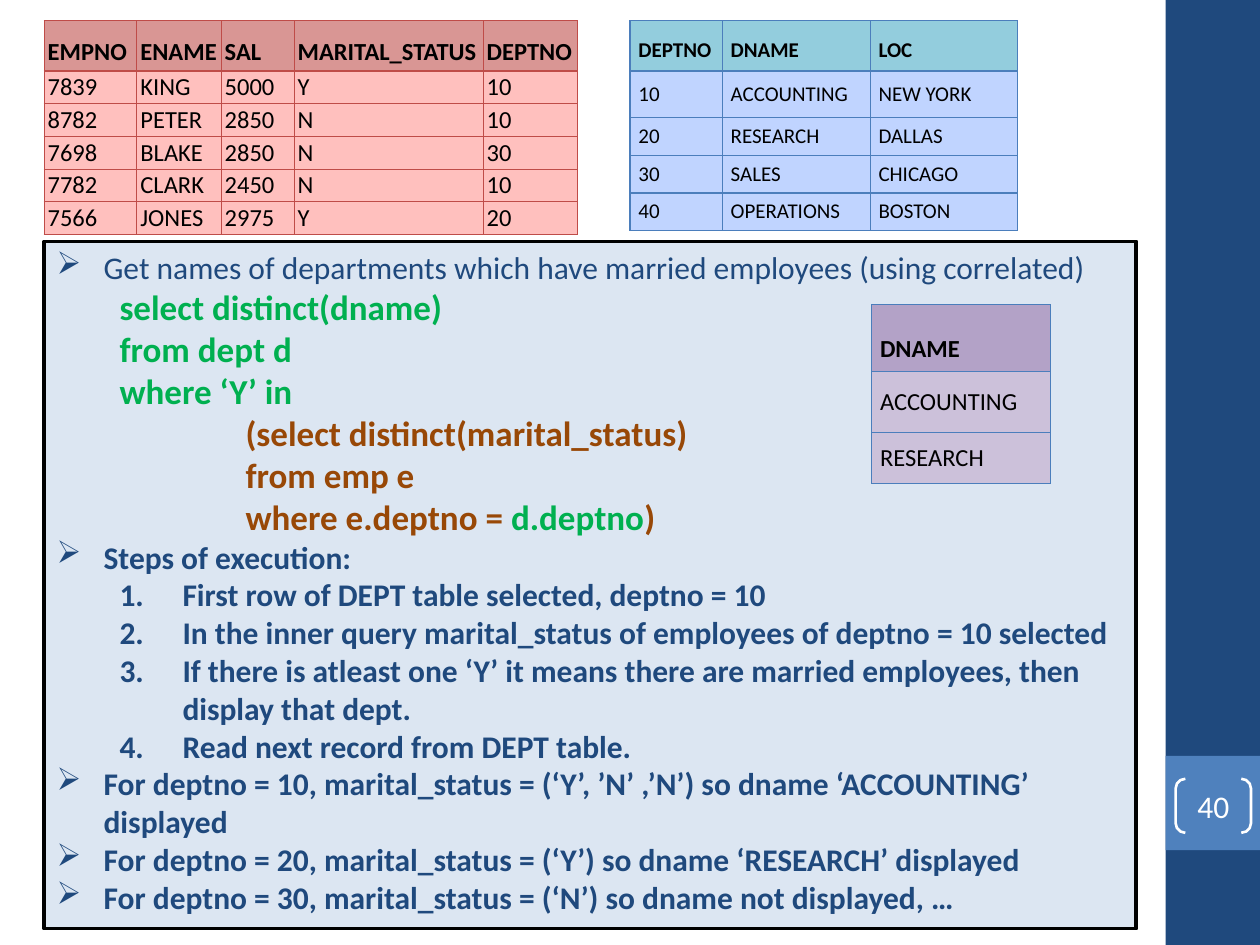
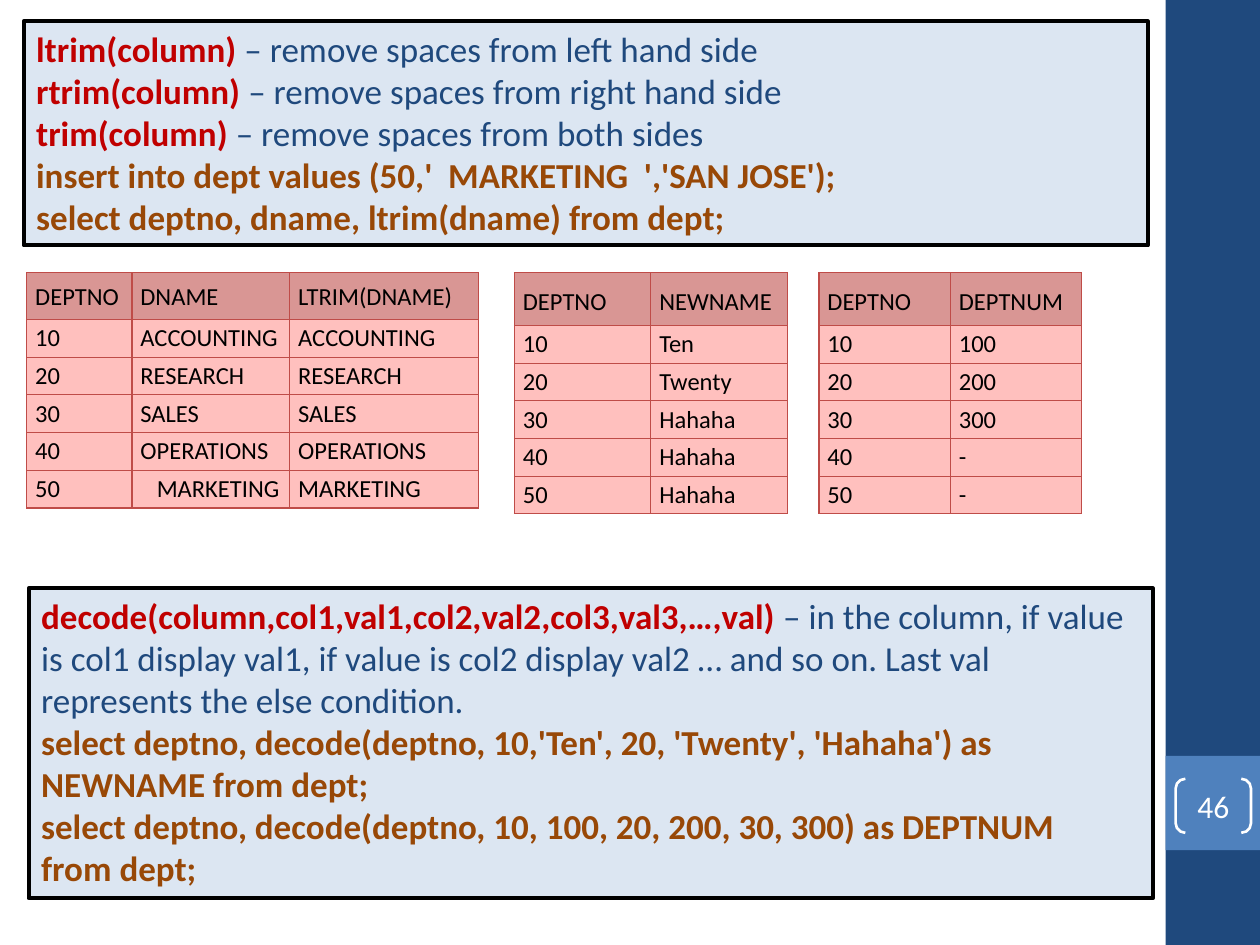
from lxml.etree import SubElement
from pptx import Presentation
from pptx.dml.color import RGBColor
from pptx.enum.shapes import MSO_SHAPE
from pptx.enum.text import MSO_ANCHOR, MSO_AUTO_SIZE, PP_ALIGN
from pptx.oxml.ns import qn
from pptx.util import Cm, Pt

FONT = "Calibri"
NAVY, BLUE, PALE, WHITE, BLACK = "1F497D", "4F81BD", "DCE6F2", "FFFFFF", "000000"
GREEN, BROWN, RED = "00B050", "984807", "C00000"
SPACE_WIDTH = 0.11  # one leading space in a table cell, cm

# Paragraph kinds: left margin and first-line indent in cm, level, bullet
KINDS = {
    "plain": dict(margin=0, indent=0, level=0, bullet=None),
    "arrow": dict(margin=0.95, indent=-0.95, level=0, bullet=("buChar", {"char": "➢"})),
    "query": dict(margin=1.27, indent=0, level=1, bullet=None),
    "subquery": dict(margin=3.81, indent=0, level=1, bullet=None),
    "step": dict(margin=2.54, indent=-1.27, level=1,
                 bullet=("buAutoNum", {"type": "arabicPeriod"})),
}

# Run styles
STYLES = {
    "text": dict(size=18, color=NAVY, bold=False),
    "strong": dict(size=18, color=NAVY, bold=True),
    "outer": dict(size=20, color=GREEN, bold=True),
    "inner": dict(size=20, color=BROWN, bold=True),
    "function": dict(size=20, color=RED, bold=True),
    "meaning": dict(size=20, color=NAVY, bold=False),
    "number": dict(size=18, color=WHITE, bold=False),
}

# Table looks; insets are horizontal, vertical in cm
ROSE = dict(head="D99694", body="FFC0BE", border="BF4C48", size=14, bold_head=False,
            head_inset=(0.17, 0.16), body_inset=(0.17, 0.07))
LOOKS = {
    "result": ROSE,
    "employees": ROSE | dict(bold_head=True, head_inset=(0.07, 0.07), body_inset=(0.07, 0.02)),
    "departments": ROSE | dict(head="93CDDD", body="C0D4FF", border="4B7EBC", size=12,
                               bold_head=True),
    "answer": ROSE | dict(head="B3A2C7", body="CCC1DA", border="4B7EBC", bold_head=True),
}

# Content: boxes are (place, paragraphs), a paragraph is (kind, runs)
SLIDES = [
    dict(
        number="40",
        boxes=[
            ((0.89, 4.87, 22.02, 13.85), [
                ("arrow", [("text", "Get names of departments which have married employees "
                                    "(using correlated)")]),
                ("query", [("outer", "select distinct(dname)")]),
                ("query", [("outer", "from dept d")]),
                ("query", [("outer", "where ‘Y’ in")]),
                ("subquery", [("inner", "(select distinct(marital_status)")]),
                ("subquery", [("inner", "from emp e")]),
                ("subquery", [("inner", "where e.deptno = "), ("outer", "d.deptno"),
                              ("inner", ")")]),
                ("arrow", [("strong", "Steps of execution:")]),
                ("step", [("strong", "First row of DEPT table selected, deptno = 10")]),
                ("step", [("strong", "In the inner query marital_status of employees of "
                                     "deptno = 10 selected")]),
                ("step", [("strong", "If there is atleast one ‘Y’ it means there are married "
                                     "employees, then display that dept.")]),
                ("step", [("strong", "Read next record from DEPT table.")]),
                ("arrow", [("strong", "For deptno = 10, marital_status = (‘Y’, ’N’ ,’N’) so "
                                      "dname ‘ACCOUNTING’ displayed")]),
                ("arrow", [("strong", "For deptno = 20, marital_status = (‘Y’) so dname "
                                      "‘RESEARCH’ displayed")]),
                ("arrow", [("strong", "For deptno = 30, marital_status = (‘N’) so dname not "
                                      "displayed, …")]),
            ]),
        ],
        tables=[
            dict(look="employees", at=(0.89, 0.42), columns=[1.87, 1.7, 1.47, 3.81, 1.91],
                 heights=[1.01] + [0.66] * 5, rows=[
                     ("EMPNO", "ENAME", "SAL", "MARITAL_STATUS", "DEPTNO"),
                     ("7839", "KING", "5000", "Y", "10"),
                     ("8782", "PETER", "2850", "N", "10"),
                     ("7698", "BLAKE", "2850", "N", "30"),
                     ("7782", "CLARK", "2450", "N", "10"),
                     ("7566", "JONES", "2975", "Y", "20")]),
            dict(look="departments", at=(12.7, 0.42), columns=[1.86, 2.98, 2.98],
                 heights=[1.01, 0.94] + [0.76] * 3, rows=[
                     ("DEPTNO", "DNAME", "LOC"),
                     ("10", "ACCOUNTING", "NEW YORK"),
                     ("20", "RESEARCH", "DALLAS"),
                     ("30", "SALES", "CHICAGO"),
                     ("40", "OPERATIONS", "BOSTON")]),
            dict(look="answer", at=(17.57, 6.14), columns=[3.6], heights=[1.35, 1.23, 1.02],
                 rows=[("DNAME",), ("ACCOUNTING",), ("RESEARCH",)]),
        ],
    ),
    dict(
        number="46",
        boxes=[
            ((0.48, 0.43, 22.66, 4.52), [
                ("plain", [("function", "ltrim(column) "),
                           ("meaning", "– remove spaces from left hand side")]),
                ("plain", [("function", "rtrim(column) "),
                           ("meaning", "– remove spaces from right hand side")]),
                ("plain", [("function", "trim(column) "),
                           ("meaning", "– remove spaces from both sides")]),
                ("plain", [("inner", "insert into dept values (50,'  MARKETING  ','SAN JOSE');")]),
                ("plain", [("inner", "select deptno, dname, ltrim(dname) from dept;")]),
            ]),
            ((0.58, 11.86, 22.66, 6.25), [
                ("plain", [("function", "decode(column,col1,val1,col2,val2,col3,val3,…,val) "),
                           ("meaning", "– in the column, if value is col1 display val1, if value "
                                       "is col2 display val2 … and so on. Last val represents "
                                       "the else condition.")]),
                ("plain", [("inner", "select deptno, decode(deptno, 10,'Ten', 20, 'Twenty', "
                                     "'Hahaha') as NEWNAME from dept;")]),
                ("plain", [("inner", "select deptno, decode(deptno, 10, 100, 20, 200, 30, 300) "
                                     "as DEPTNUM")]),
                ("plain", [("inner", "from dept;")]),
            ]),
        ],
        tables=[
            dict(look="result", at=(0.54, 5.5), columns=[2.12, 3.18, 3.81],
                 heights=[0.94] + [0.76] * 5, rows=[
                     ("DEPTNO", "DNAME", "LTRIM(DNAME)"),
                     ("10", "ACCOUNTING", "ACCOUNTING"),
                     ("20", "RESEARCH", "RESEARCH"),
                     ("30", "SALES", "SALES"),
                     ("40", "OPERATIONS", "OPERATIONS"),
                     ("50", "   MARKETING", "MARKETING")]),
            dict(look="result", at=(10.37, 5.5), columns=[2.75] * 2,
                 heights=[1.06] + [0.76] * 5, rows=[
                     ("DEPTNO", "NEWNAME"), ("10", "Ten"), ("20", "Twenty"),
                     ("30", "Hahaha"), ("40", "Hahaha"), ("50", "Hahaha")]),
            dict(look="result", at=(16.51, 5.5), columns=[2.65] * 2,
                 heights=[1.06] + [0.76] * 5, rows=[
                     ("DEPTNO", "DEPTNUM"), ("10", "100"), ("20", "200"),
                     ("30", "300"), ("40", "-"), ("50", "-")]),
        ],
    ),
]


def rgb(color):
    return RGBColor.from_string(color)


def set_attributes(target, values):
    for name, value in values.items():
        setattr(target, name, value)


def add_run(paragraph, text, size, color, bold):
    run = paragraph.add_run()
    run.text = text
    set_attributes(run.font, dict(name=FONT, size=Pt(size), bold=bold))
    run.font.color.rgb = rgb(color)


def add_block(slide, preset, place, fill=None, line=None, width=0):
    shape = slide.shapes.add_shape(preset, *map(Cm, place))
    shape.shadow.inherit = False
    if fill:
        shape.fill.solid()
        shape.fill.fore_color.rgb = rgb(fill)
    else:
        shape.fill.background()
    if line:
        shape.line.color.rgb = rgb(line)
        shape.line.width = Pt(width)
    else:
        shape.line.fill.background()
    return shape


# Side band with the page number
def add_band(slide, number):
    add_block(slide, MSO_SHAPE.RECTANGLE, (23.5, 0, 1.9, 19.05), NAVY)
    add_block(slide, MSO_SHAPE.RECTANGLE, (23.5, 15.24, 1.9, 1.9), BLUE)
    bracket = add_block(slide, MSO_SHAPE.DOUBLE_BRACKET, (23.7, 15.7, 1.52, 1.09),
                        line=WHITE, width=1.5)
    bracket.adjustments[0] = 0.18
    set_attributes(bracket.text_frame, dict(
        margin_left=0, margin_right=0, margin_top=0, margin_bottom=0,
        vertical_anchor=MSO_ANCHOR.MIDDLE))
    paragraph = bracket.text_frame.paragraphs[0]
    paragraph.alignment = PP_ALIGN.CENTER
    add_run(paragraph, number, **STYLES["number"])


# Framed text box
def format_paragraph(paragraph, margin, indent, level, bullet):
    set_attributes(paragraph, dict(alignment=PP_ALIGN.LEFT, level=level))
    properties = paragraph._p.get_or_add_pPr()
    properties.set("marL", str(Cm(margin)))
    properties.set("indent", str(Cm(indent)))
    tag, values = bullet or ("buNone", {})
    SubElement(properties, qn(f"a:{tag}"), values)


def add_text_box(slide, place, paragraphs):
    shape = add_block(slide, MSO_SHAPE.RECTANGLE, place, PALE, BLACK, 2.25)
    frame = shape.text_frame
    set_attributes(frame, dict(word_wrap=True, vertical_anchor=MSO_ANCHOR.TOP,
                               auto_size=MSO_AUTO_SIZE.SHAPE_TO_FIT_TEXT))
    for index, (kind, runs) in enumerate(paragraphs):
        paragraph = frame.add_paragraph() if index else frame.paragraphs[0]
        format_paragraph(paragraph, **KINDS[kind])
        for style, text in runs:
            add_run(paragraph, text, **STYLES[style])


# Tables
def add_borders(cell, color):
    properties = cell._tc.get_or_add_tcPr()
    for side in ("lnL", "lnR", "lnT", "lnB"):
        line = SubElement(properties, qn(f"a:{side}"), w=str(Pt(0.75)))
        fill = SubElement(line, qn("a:solidFill"))
        SubElement(fill, qn("a:srgbClr"), val=color)


def fill_cell(cell, text, look, is_head):
    add_borders(cell, look["border"])
    cell.fill.solid()
    cell.fill.fore_color.rgb = rgb(look["head" if is_head else "body"])
    across, down = look["head_inset" if is_head else "body_inset"]
    # Leading spaces move the text right, into the right inset if need be
    label = text.lstrip()
    shift = SPACE_WIDTH * (len(text) - len(label))
    set_attributes(cell, dict(
        margin_left=Cm(across + shift), margin_right=Cm(max(across - shift, 0)),
        margin_top=Cm(down), margin_bottom=Cm(down),
        vertical_anchor=MSO_ANCHOR.BOTTOM if is_head else MSO_ANCHOR.MIDDLE))
    add_run(cell.text_frame.paragraphs[0], label, look["size"], BLACK,
            is_head and look["bold_head"])


def add_data_table(slide, look, at, columns, heights, rows):
    place = (*at, sum(columns), sum(heights))
    table = slide.shapes.add_table(len(rows), len(columns), *map(Cm, place)).table
    set_attributes(table, dict(first_row=False, horz_banding=False))
    for column, width in zip(table.columns, columns):
        column.width = Cm(width)
    for row, height in zip(table.rows, heights):
        row.height = Cm(height)
    for row_index, texts in enumerate(rows):
        for column_index, text in enumerate(texts):
            fill_cell(table.cell(row_index, column_index), text, LOOKS[look], row_index == 0)


def main():
    presentation = Presentation()
    set_attributes(presentation, dict(slide_width=Cm(25.4), slide_height=Cm(19.05)))
    for content in SLIDES:
        slide = presentation.slides.add_slide(presentation.slide_layouts[6])
        add_band(slide, content["number"])
        for place, paragraphs in content["boxes"]:
            add_text_box(slide, place, paragraphs)
        for table in content["tables"]:
            add_data_table(slide, **table)
    presentation.save("out.pptx")


if __name__ == "__main__":
    main()
